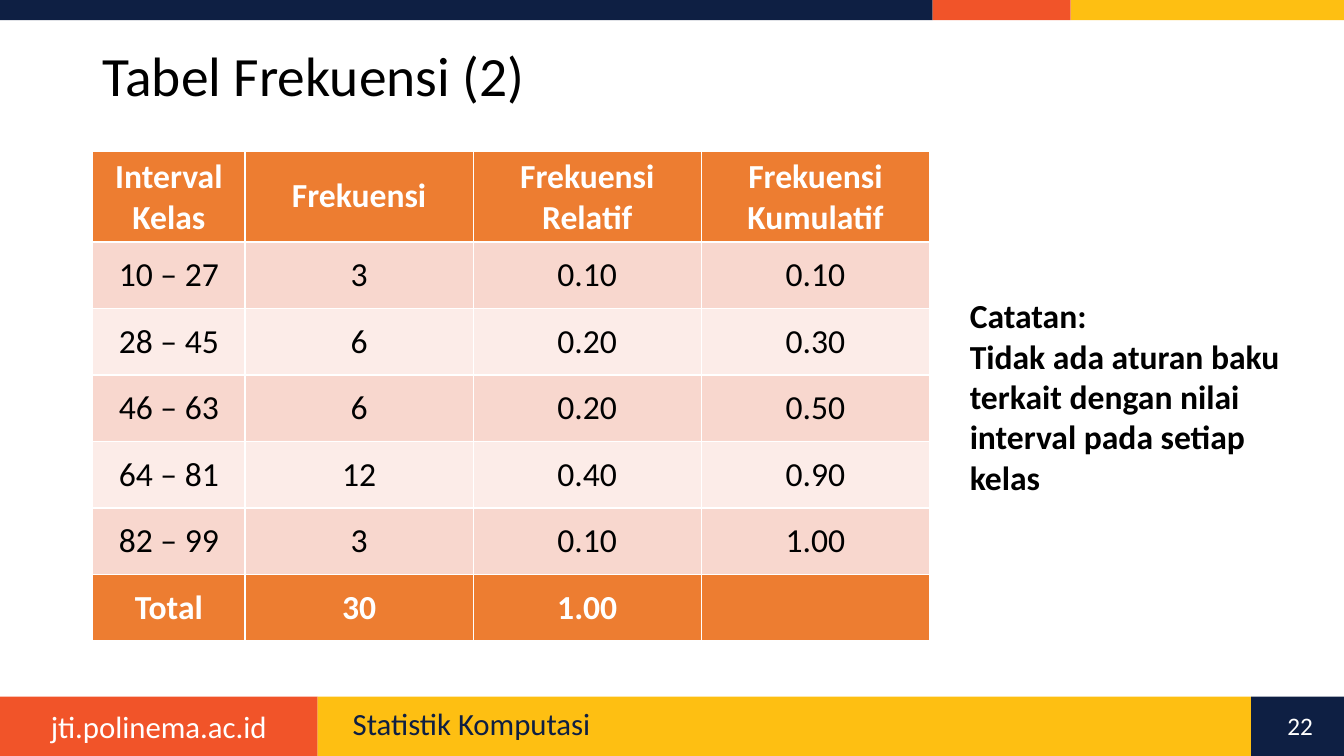
from pptx import Presentation
from pptx.dml.color import RGBColor
from pptx.enum import shapes, text
from pptx.util import Inches, Pt

NAVY, RED, GOLD = "0E1F43", "F15429", "FEBF12"
WHITE, BLACK = "FFFFFF", "000000"
ORANGE, BANDS = "ED7D31", ("F8D7CE", "FCECE8")
CENTER, LEFT = text.PP_ALIGN.CENTER, text.PP_ALIGN.LEFT

HEADS = ("Interval Kelas", "Frekuensi", "Frekuensi Relatif", "Frekuensi Kumulatif")
CLASSES = (
    ("10 – 27", "3", "0.10", "0.10"),
    ("28 – 45", "6", "0.20", "0.30"),
    ("46 – 63", "6", "0.20", "0.50"),
    ("64 – 81", "12", "0.40", "0.90"),
    ("82 – 99", "3", "0.10", "1.00"),
)
TOTAL = ("Total", "30", "1.00", "")


def paint(fill, color):
    fill.solid()
    fill.fore_color.rgb = RGBColor.from_string(color)


def write(para, words, size, color, bold=False, align=LEFT):
    para.alignment = align
    run = para.add_run()
    run.text = words
    font = run.font
    font.name, font.size, font.bold = "Calibri", Pt(size), bold
    font.color.rgb = RGBColor.from_string(color)


def label(slide, box, lines, size, color, bold=False, align=LEFT, space=None):
    """Add a vertically centred text box with one paragraph per line."""
    frame = slide.shapes.add_textbox(*map(Inches, box)).text_frame
    frame.word_wrap = True
    frame.vertical_anchor = text.MSO_ANCHOR.MIDDLE
    for i, line in enumerate(lines):
        para = frame.add_paragraph() if i else frame.paragraphs[0]
        para.line_spacing = space
        write(para, line, size, color, bold, align)


def strip(slide, box, parts):
    """Fill the box from left to right with (width, colour) blocks."""
    left, top, _, height = box
    for width, color in parts:
        block = slide.shapes.add_shape(
            shapes.MSO_SHAPE.RECTANGLE, *map(Inches, (left, top, width, height)))
        block.shadow.inherit = False
        paint(block.fill, color)
        block.line.fill.background()
        left += width


def footer(slide, box):
    left, top, width, height = box
    site, page = 3.15, 0.92
    strip(slide, box, ((site, RED), (width - site - page, GOLD), (page, NAVY)))
    label(slide, (left, top + 0.06, site, 0.47), ["jti.polinema.ac.id"],
          22, WHITE, align=CENTER)
    label(slide, (left + 3.4, top + 0.09, 8.74, 0.4), ["Statistik Komputasi"],
          22, NAVY, space=0.9)
    label(slide, (left + 12.59, top + 0.09, 0.61, 0.4), ["22"],
          18, WHITE, align=CENTER)


def grid(slide, box):
    """Add the frequency table with its header, banded classes and total."""
    rows = (HEADS, *CLASSES, TOTAL)
    last = len(rows) - 1
    table = slide.shapes.add_table(
        len(rows), len(HEADS), *map(Inches, box)).table
    first, head = 1.51, 0.9
    rest = (box[2] - first) / (len(HEADS) - 1)
    for c, column in enumerate(table.columns):
        column.width = Inches(rest if c else first)
    for r, values in enumerate(rows):
        table.rows[r].height = Inches((box[3] - head) / last if r else head)
        strong = r in (0, last)
        for c, value in enumerate(values):
            cell = table.cell(r, c)
            paint(cell.fill, ORANGE if strong else BANDS[(r - 1) % 2])
            cell.vertical_anchor = text.MSO_ANCHOR.MIDDLE
            if value:
                write(cell.text_frame.paragraphs[0], value, 24,
                      WHITE if strong else BLACK, strong, CENTER)


def main():
    deck = Presentation()
    deck.slide_width, deck.slide_height = Inches(13.33), Inches(7.5)
    slide = deck.slides.add_slide(deck.slide_layouts[6])
    strip(slide, (0, 0, 13.33, 0.2), ((9.25, NAVY), (1.37, RED), (2.71, GOLD)))
    footer(slide, (0, 6.91, 13.33, 0.59))
    label(slide, (0.92, 0.4, 10.24, 0.75), ["Tabel Frekuensi (2)"],
          39.6, BLACK, space=0.9)
    grid(slide, (0.92, 1.5, 8.3, 4.86))
    label(slide, (9.52, 2.87, 3.27, 2.12),
          ["Catatan:", "Tidak ada aturan baku terkait dengan nilai interval pada setiap kelas"],
          24, BLACK, bold=True)
    deck.save("out.pptx")


if __name__ == "__main__":
    main()
